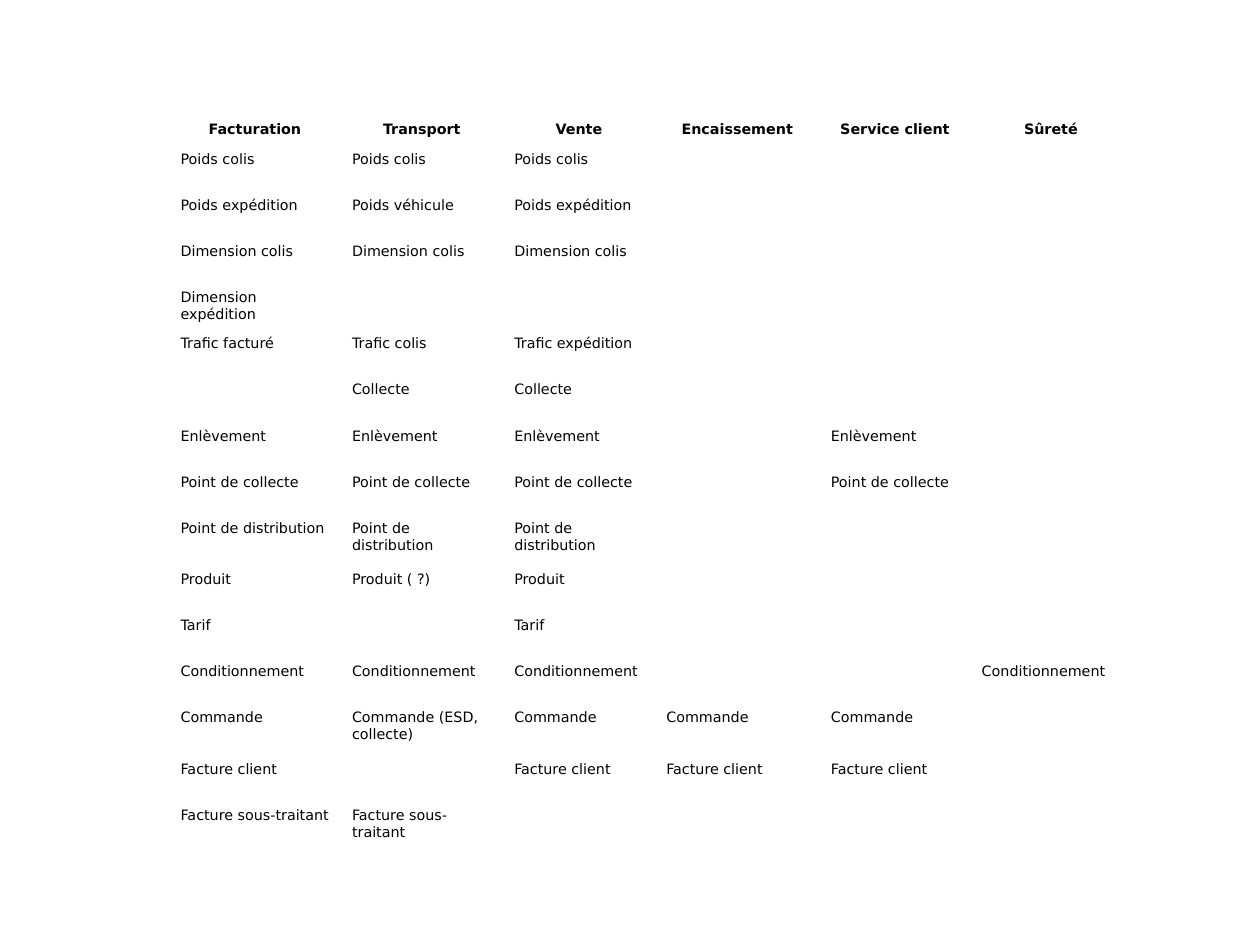
"""Build a slide listing the business objects handled by each department."""
from pptx import Presentation
from pptx.dml.color import RGBColor
from pptx.enum.text import MSO_ANCHOR, PP_ALIGN
from pptx.util import Inches, Pt

HEADINGS = ["Facturation", "Transport", "Vente", "Encaissement", "Service client", "Sûreté"]
OBJECTS = [
    ["Poids colis", "Poids colis", "Poids colis", "", "", ""],
    ["Poids expédition", "Poids véhicule", "Poids expédition", "", "", ""],
    ["Dimension colis", "Dimension colis", "Dimension colis", "", "", ""],
    ["Dimension expédition", "", "", "", "", ""],
    ["Trafic facturé", "Trafic colis", "Trafic expédition", "", "", ""],
    ["", "Collecte", "Collecte", "", "", ""],
    ["Enlèvement", "Enlèvement", "Enlèvement", "", "Enlèvement", ""],
    ["Point de collecte", "Point de collecte", "Point de collecte", "", "Point de collecte", ""],
    ["Point de distribution", "Point de distribution", "Point de distribution", "", "", ""],
    ["Produit", "Produit ( ?)", "Produit", "", "", ""],
    ["Tarif", "", "Tarif", "", "", ""],
    ["Conditionnement", "Conditionnement", "Conditionnement", "", "", "Conditionnement"],
    ["Commande", "Commande (ESD, collecte)", "Commande", "Commande", "Commande", ""],
    ["Facture client", "", "Facture client", "Facture client", "Facture client", ""],
    ["Facture sous-traitant", "Facture sous-traitant", "", "", "", ""],
]
COLUMN_WIDTHS = [1.5, 1.42, 1.33, 1.44, 1.32, 1.41]
HEADING_HEIGHT = 0.28
NORMAL_HEIGHT = 4.84 / 12
TALL_HEIGHT = 0.45
TALL_OBJECTS = {"Point de distribution", "Commande", "Facture sous-traitant"}
CENTIMETRES_PER_INCH = 2.54


def color(value):
    return RGBColor.from_string(value)


def write(frame, text, font="DejaVu Sans", size=9, ink="000000", bold=False,
          align=PP_ALIGN.LEFT, spacing=1.02):
    para = frame.paragraphs[0]
    para.alignment = align
    para.line_spacing = spacing
    if not text:
        para._p.get_or_add_endParaRPr().set("sz", str(size * 100))
        return
    span = para.add_run()
    span.text = text
    span.font.name = font
    span.font.size = Pt(size)
    span.font.bold = bold
    span.font.color.rgb = color(ink)


class Page:
    def __init__(self, deck, background="FFFFFF"):
        self.slide = deck.slides.add_slide(deck.slide_layouts[6])
        fill = self.slide.background.fill
        fill.solid()
        fill.fore_color.rgb = color(background)

    def table(self, left, top, widths, heights, rows):
        frame = self.slide.shapes.add_table(
            len(heights), len(widths), Inches(left), Inches(top),
            Inches(sum(widths)), Inches(sum(heights)))
        table = frame.table
        table.first_row = False
        table.horz_banding = False
        for column, width in zip(table.columns, widths):
            column.width = Inches(width)
        for row, height in zip(table.rows, heights):
            row.height = Inches(height)
        for row_index, texts in enumerate(rows):
            heading = row_index == 0
            for column_index, text in enumerate(texts):
                cell = table.cell(row_index, column_index)
                cell.fill.background()
                cell.vertical_anchor = MSO_ANCHOR.MIDDLE if heading else MSO_ANCHOR.TOP
                write(cell.text_frame, text, bold=heading,
                      align=PP_ALIGN.CENTER if heading else PP_ALIGN.LEFT)


def main():
    deck = Presentation()
    deck.slide_width = Inches(28 / CENTIMETRES_PER_INCH)
    deck.slide_height = Inches(21 / CENTIMETRES_PER_INCH)
    heights = [HEADING_HEIGHT] + [
        TALL_HEIGHT if texts[0] in TALL_OBJECTS else NORMAL_HEIGHT for texts in OBJECTS]
    Page(deck).table(1.48, 0.99, COLUMN_WIDTHS, heights, [HEADINGS] + OBJECTS)
    deck.save("out.pptx")


if __name__ == "__main__":
    main()
